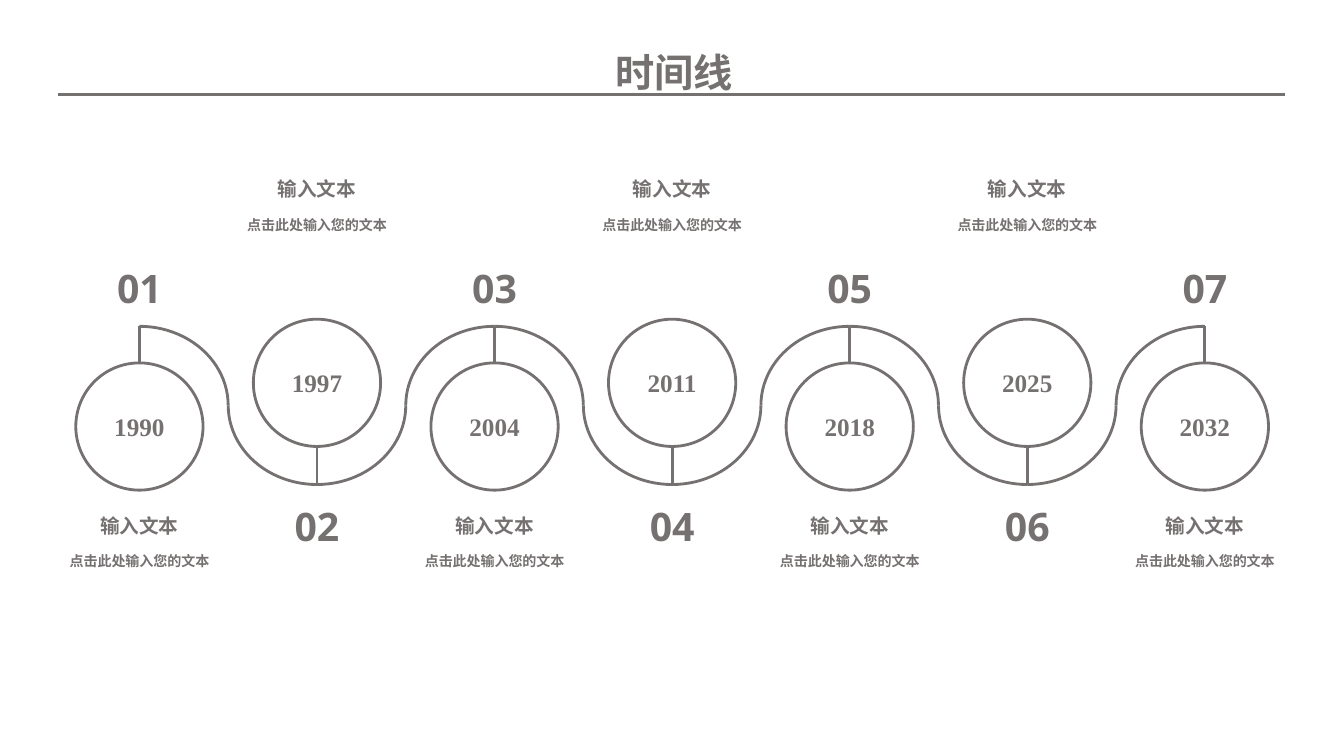
from lxml.etree import SubElement as Sub
from pptx import Presentation
from pptx.dml.color import RGBColor
from pptx.enum.lang import MSO_LANGUAGE_ID as Lang
from pptx.enum.shapes import MSO_CONNECTOR as Link, MSO_SHAPE as Form
from pptx.enum.text import MSO_AUTO_SIZE as Fit, PP_ALIGN as Align
from pptx.oxml.ns import qn
from pptx.util import Inches, Pt

COLS, ROWS = 160, 90
GREY, WHITE = "767171", "FFFFFF"
SANS, SERIF = "Open Sans", "Times New Roman"

YEARS = ["1990", "1997", "2004", "2011", "2018", "2025", "2032"]
FIRST, STEP = 16.6, 21.14
CREST, DEPTH = 38.85, 18.84
DISC = 15.15
HEAD, BODY = "输入文本", "点击此处输入您的文本"

# Rows used by stops whose disc hangs low, then by those whose disc sits high
LOW = {"disc": 43.2, "stem": (CREST, 43.2), "year": 48.36,
       "number": 30.84, "head": 60.6, "body": 65.2}
HIGH = {"disc": 38, "stem": (53.05, CREST + DEPTH), "year": 43.08,
        "number": 59.16, "head": 20.52, "body": 25.2}


def paint(code):
    return RGBColor.from_string(code)


def assign(target, values):
    for name, value in values.items():
        setattr(target, name, value)


class Board:
    """Draws on one slide; all lengths are cells of a 160 by 90 grid."""

    def __init__(self, deck):
        self.slide = deck.slides.add_slide(deck.slide_layouts[6])
        self.shapes = self.slide.shapes
        self.col = deck.slide_width / COLS
        self.row = deck.slide_height / ROWS
        self.ink = paint(GREY)
        self.pen = Pt(2)

    def place(self, x, y, w, h):
        return (round(x * self.col), round(y * self.row),
                round(w * self.col), round(h * self.row))

    def trace(self, item):
        item.line.color.rgb = self.ink
        item.line.width = self.pen

    def shape(self, form, x, y, w, h):
        item = self.shapes.add_shape(form, *self.place(x, y, w, h))
        item.shadow.inherit = False
        self.trace(item)
        return item

    def arc(self, x, y, w, h, flips):
        item = self.shape(Form.ARC, x, y, w, h)
        item.fill.background()
        for flip in flips:
            item._element.spPr.xfrm.set(flip, "1")

    def disc(self, x, y, size):
        item = self.shape(Form.OVAL, x, y, size, size)
        item.fill.solid()
        item.fill.fore_color.rgb = paint(WHITE)

    def line(self, x, y, right, low):
        item = self.shapes.add_connector(
            Link.STRAIGHT, *self.place(x, y, right, low))
        self.trace(item)
        Sub(item._element.spPr, qn("a:effectLst"))

    def text(self, words, mid, y, w, h, size, face=SANS):
        """Centres the words on column mid."""
        box = self.shapes.add_textbox(*self.place(mid - w / 2, y, w, h))
        assign(box.text_frame, {"word_wrap": True,
                                "auto_size": Fit.SHAPE_TO_FIT_TEXT})
        para = box.text_frame.paragraphs[0]
        para.alignment = Align.CENTER
        run = para.add_run()
        run.text = words
        assign(run.font, {"size": Pt(size), "bold": True, "name": face,
                          "language_id": Lang.SIMPLIFIED_CHINESE})
        run.font.color.rgb = self.ink
        Sub(run._r.rPr, qn("a:ea")).set("typeface", face)


def main():
    deck = Presentation()
    deck.slide_width, deck.slide_height = Inches(13.33), Inches(7.5)
    board = Board(deck)
    last = len(YEARS) - 1
    stops = [(i, FIRST + i * STEP, HIGH if i % 2 else LOW)
             for i in range(len(YEARS))]

    for i, mid, rows in stops:
        turn = ["flipV"] if rows is HIGH else []
        spot = (mid - STEP / 2, CREST, STEP, DEPTH)
        if i < last:
            board.arc(*spot, turn)
        if i > 0:
            board.arc(*spot, turn + ["flipH"])
    for i, mid, rows in stops:
        top, low = rows["stem"]
        board.line(mid, top, mid, low)
        board.disc(mid - DISC / 2, rows["disc"], DISC)

    board.text("时间线", 80.22, 5.16, 160.44, 6.84, 28)
    board.line(6.96, 11.28, 153, 11.28)

    for i, mid, rows in stops:
        board.text(f"{i + 1:02}", mid, rows["number"], 12.6, 6.84, 28)
        board.text(YEARS[i], mid, rows["year"], DISC, 4.8, 18, SERIF)
        board.text(HEAD, mid, rows["head"], 20, 4, 14)
        board.text(BODY, mid, rows["body"], 20, 3.24, 10)

    deck.save("out.pptx")


if __name__ == "__main__":
    main()
